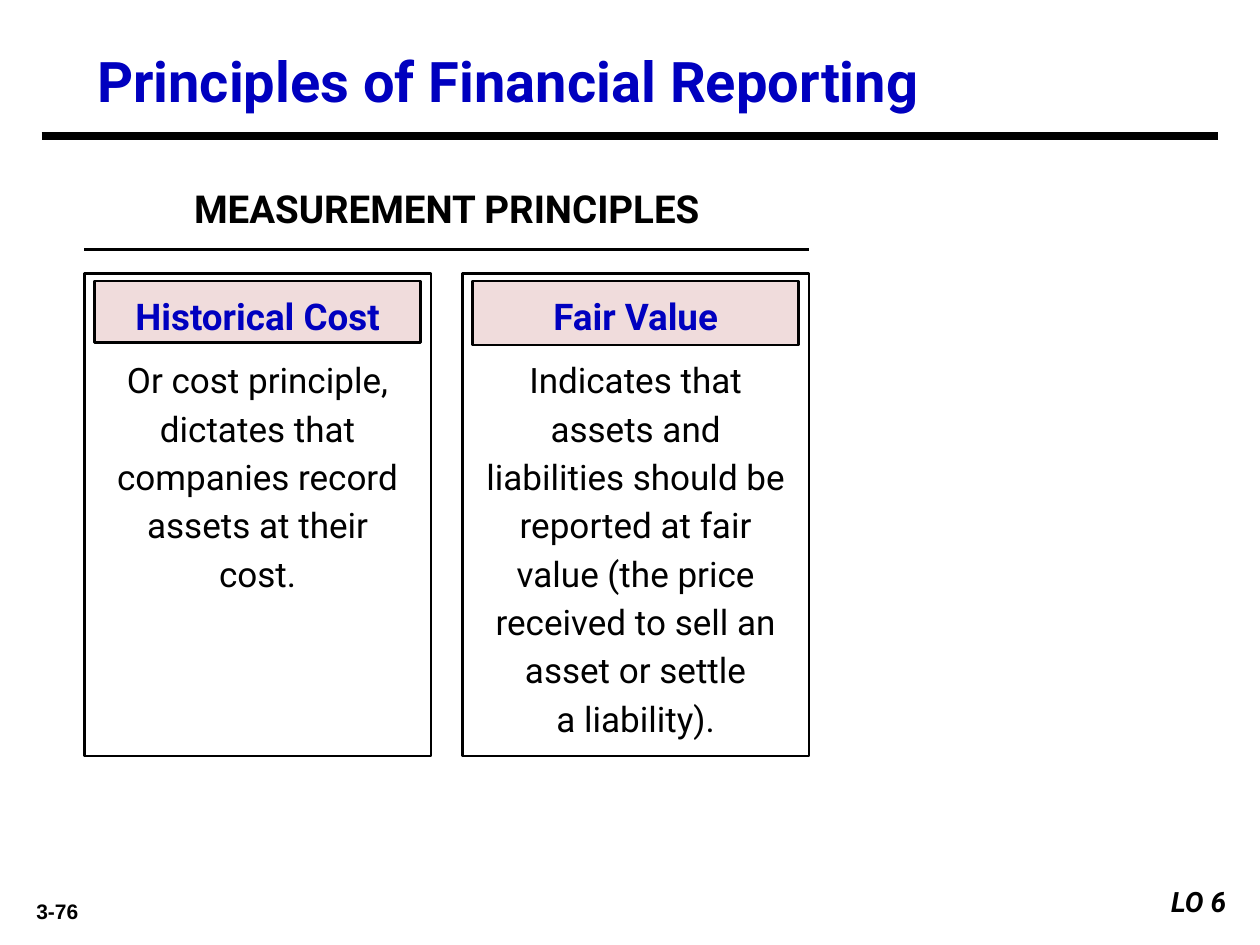
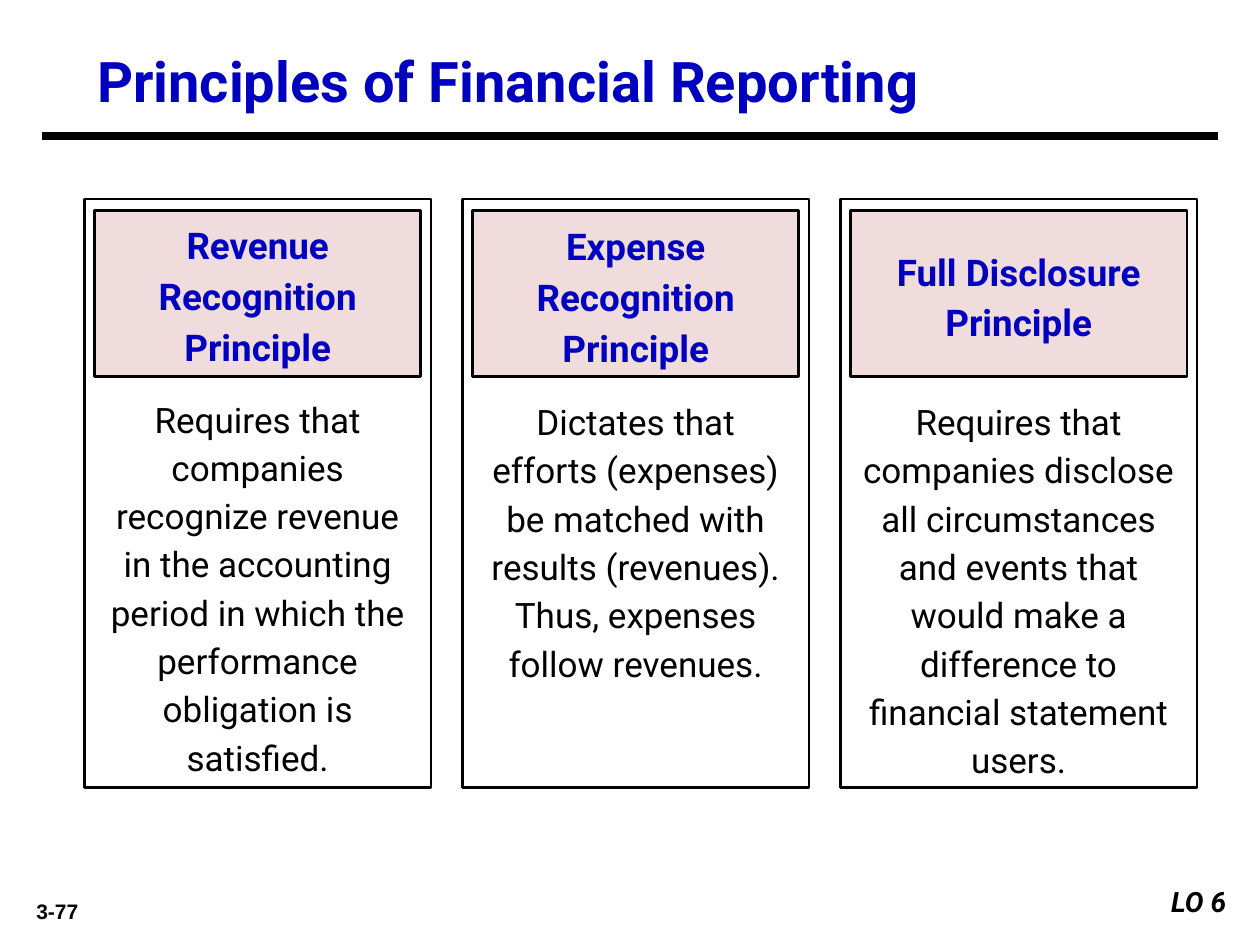
from dataclasses import dataclass

from lxml.etree import SubElement
from pptx import Presentation
from pptx.dml.color import RGBColor
from pptx.enum.shapes import MSO_CONNECTOR, MSO_SHAPE
from pptx.enum.text import MSO_ANCHOR, MSO_AUTO_SIZE, PP_ALIGN
from pptx.oxml.ns import qn
from pptx.util import Inches, Pt


@dataclass(frozen=True)
class Theme:
    black: RGBColor = RGBColor(0, 0, 0)
    white: RGBColor = RGBColor(255, 255, 255)
    blue: RGBColor = RGBColor(0, 0, 0xBF)
    pink: RGBColor = RGBColor(0xF0, 0xDC, 0xDC)
    font: str = "Roboto"
    number_font: str = "Arial"
    title_size: int = 32
    section_size: int = 22
    heading_size: int = 21
    body_size: int = 20
    objective_size: int = 16
    number_size: int = 12
    outline: float = 1.5
    section_rule: float = 2.25
    title_rule: float = 4.5


@dataclass(frozen=True)
class Principle:
    heading: str
    body: str
    width: float = 2.75
    heading_height: float = 1.32
    body_top: float = 3.08
    anchor: MSO_ANCHOR = MSO_ANCHOR.MIDDLE


THEME = Theme()
TITLE = "Principles of Financial Reporting"
COLUMN_LEFT = 0.67
COLUMN_STEP = 3
INSET = 0.08

MEASUREMENT = [
    Principle(
        "Historical Cost",
        "Or cost principle, dictates that companies record assets at their cost.",
        heading_height=0.49, body_top=2.75, anchor=MSO_ANCHOR.TOP,
    ),
    Principle(
        "Fair Value",
        "Indicates that assets and liabilities should be reported at fair value "
        "(the price received to sell an asset or settle\na liability).",
        heading_height=0.51, body_top=2.75, anchor=MSO_ANCHOR.TOP,
    ),
]
RECOGNITION = [
    Principle(
        "Revenue Recognition Principle",
        "Requires that companies recognize revenue in the accounting period "
        "in which the performance obligation is satisfied.",
        body_top=3.06, anchor=MSO_ANCHOR.TOP,
    ),
    Principle(
        "Expense Recognition Principle",
        "Dictates that efforts (expenses) be matched with results (revenues). "
        "Thus, expenses follow revenues.",
    ),
    Principle(
        "Full Disclosure Principle",
        "Requires that companies disclose all circumstances\n"
        "and events that would make a difference to financial statement users.",
        width=2.83,
    ),
]


def write_text(shape, text, *, size, color=THEME.black, font=THEME.font, bold=False,
               italic=False, align=PP_ALIGN.CENTER, anchor=MSO_ANCHOR.TOP, spacing=1.0):
    frame = shape.text_frame
    frame.word_wrap = True
    frame.auto_size = MSO_AUTO_SIZE.NONE
    frame.vertical_anchor = anchor
    frame.text = text
    for para in frame.paragraphs:
        para.alignment = align
        para.line_spacing = spacing
        for span in para.runs:
            span.font.name = font
            span.font.size = Pt(size)
            span.font.bold = bold
            span.font.italic = italic
            span.font.color.rgb = color


def add_text(page, left, top, width, height, text, **style):
    box = page.shapes.add_textbox(Inches(left), Inches(top), Inches(width), Inches(height))
    write_text(box, text, **style)


def add_panel(page, left, top, width, height, fill=None, outlined=True):
    panel = page.shapes.add_shape(
        MSO_SHAPE.RECTANGLE, Inches(left), Inches(top), Inches(width), Inches(height))
    panel.shadow.inherit = False
    if fill is None:
        panel.fill.background()
    else:
        panel.fill.solid()
        panel.fill.fore_color.rgb = fill
    if outlined:
        panel.line.color.rgb = THEME.black
        panel.line.width = Pt(THEME.outline)
    else:
        panel.line.fill.background()
    return panel


def add_rule(page, left, right, top, weight):
    rule = page.shapes.add_connector(
        MSO_CONNECTOR.STRAIGHT, Inches(left), Inches(top), Inches(right), Inches(top))
    rule.line.color.rgb = THEME.black
    rule.line.width = Pt(weight)
    SubElement(rule.element.spPr, qn("a:effectLst"))


def add_page(deck, number):
    page = deck.slides.add_slide(deck.slide_layouts[5])
    title = page.shapes.title
    title.left, title.top = Inches(0.67), Inches(0.33)
    title.width, title.height = Inches(9), Inches(0.61)
    write_text(title, TITLE, size=THEME.title_size, color=THEME.blue, bold=True,
               align=PP_ALIGN.LEFT, anchor=MSO_ANCHOR.MIDDLE)
    add_rule(page, 0.33, 9.67, 1.08, THEME.title_rule)
    add_text(page, 0.08, 7.08, 0.75, 0.3, number, size=THEME.number_size,
             font=THEME.number_font, bold=True)
    objective = add_panel(page, 8.83, 6.97, 1, 0.37, fill=THEME.white, outlined=False)
    write_text(objective, "LO 6", size=THEME.objective_size, bold=True, italic=True,
               align=PP_ALIGN.RIGHT)
    return page


def add_columns(page, principles, top, height, heading_top, body_height):
    for index, principle in enumerate(principles):
        left = COLUMN_LEFT + index * COLUMN_STEP
        inner_left = left + INSET
        inner_width = principle.width - 2 * INSET
        add_panel(page, left, top, principle.width, height)
        heading = add_panel(page, inner_left, heading_top, inner_width,
                            principle.heading_height, fill=THEME.pink)
        write_text(heading, principle.heading, size=THEME.heading_size, color=THEME.blue,
                   bold=True, anchor=principle.anchor, spacing=1.15)
        add_text(page, inner_left, principle.body_top, inner_width, body_height,
                 principle.body, size=THEME.body_size, spacing=1.15)


def main():
    deck = Presentation()
    deck.slide_width, deck.slide_height = Inches(10), Inches(7.5)

    measurement = add_page(deck, "3-76")
    add_text(measurement, 1.17, 1.42, 4.75, 0.47, "MEASUREMENT PRINCIPLES",
             size=THEME.section_size, bold=True)
    add_rule(measurement, COLUMN_LEFT, 6.42, 1.98, THEME.section_rule)
    add_columns(measurement, MEASUREMENT, top=2.17, height=3.83, heading_top=2.23,
                body_height=3.17)

    recognition = add_page(deck, "3-77")
    add_columns(recognition, RECOGNITION, top=1.58, height=4.67, heading_top=1.67,
                body_height=3.17)

    deck.save("out.pptx")


if __name__ == "__main__":
    main()
